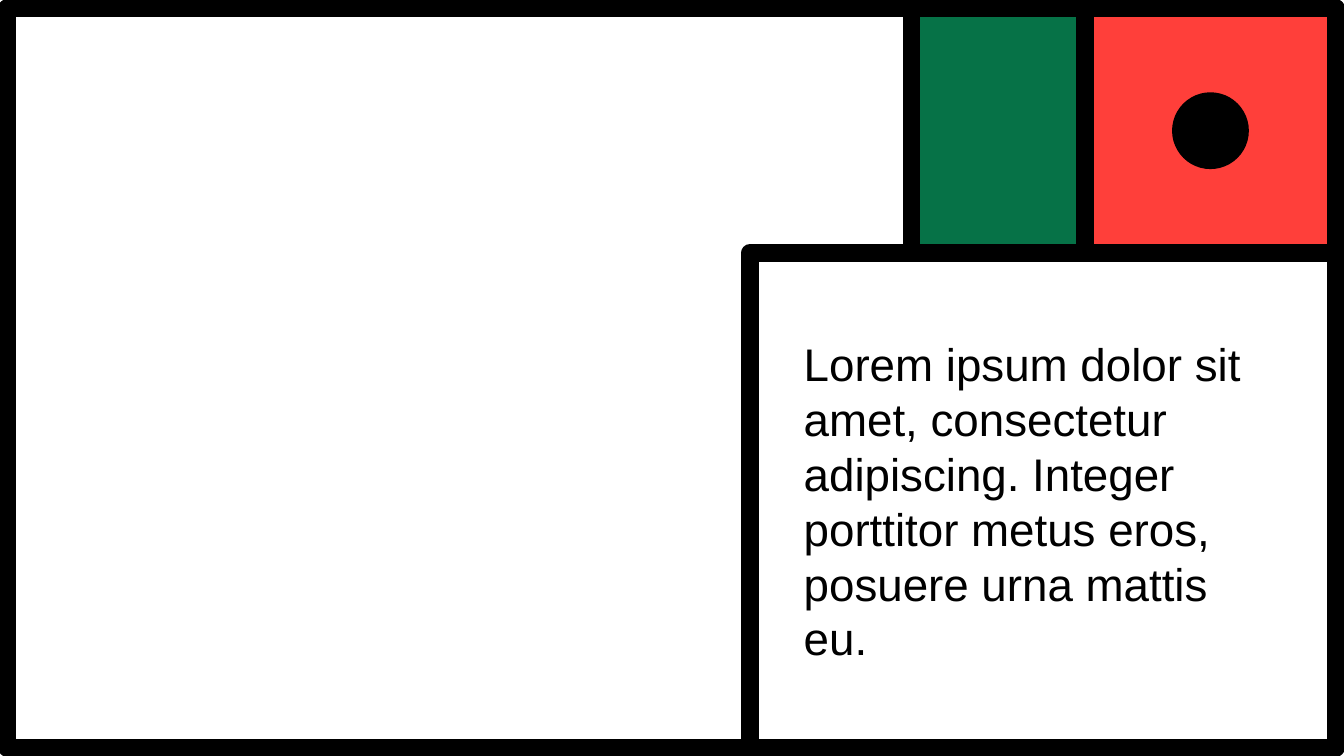
from pptx import Presentation, util as u
from pptx.dml.color import RGBColor
from pptx.enum import shapes, text

BLACK, WHITE, RED, GREEN = "000000", "FFFFFF", "FF3F3A", "067247"
LEFT, TEXT_LEFT, GREEN_LEFT, RED_LEFT, RIGHT = 5.76, 590.4, 717.84, 854.64, 1051.92
TOP, MIDDLE, BOTTOM = 6.48, 199.44, 588.96
BADGE_SIZE = 60.5


def color(value):
    return RGBColor.from_string(value)


def apply(target, values):
    for name, value in values.items():
        setattr(target, name, value)


class Builder:
    border = 14
    font = {"name": "Arial", "size": u.Pt(36)}
    frame = {
        "word_wrap": True,
        "vertical_anchor": text.MSO_ANCHOR.MIDDLE,
        "margin_left": u.Pt(42.5),
        "margin_right": u.Pt(42.5),
        "margin_top": u.Pt(28),
        "margin_bottom": u.Pt(28),
    }
    paragraph = {"alignment": text.PP_ALIGN.LEFT, "line_spacing": u.Pt(43.2)}

    def __init__(self, slide):
        self.slide = slide

    def shape(self, kind, left, top, width, height, fill):
        shape = self.slide.shapes.add_shape(kind, *map(u.Pt, (left, top, width, height)))
        shape.shadow.inherit = False
        shape.fill.solid()
        shape.fill.fore_color.rgb = color(fill)
        return shape

    def panel(self, left, top, right, bottom, fill):
        panel = self.shape(
            shapes.MSO_SHAPE.RECTANGLE, left, top, right - left, bottom - top, fill
        )
        panel.line.color.rgb = color(BLACK)
        panel.line.width = u.Pt(self.border)
        return panel

    def badge(self, center_x, center_y, size):
        badge = self.shape(
            shapes.MSO_SHAPE.OVAL, center_x - size / 2, center_y - size / 2, size, size, BLACK
        )
        badge.line.fill.background()

    def body_text(self, panel, wording):
        apply(panel.text_frame, self.frame)
        paragraph = panel.text_frame.paragraphs[0]
        apply(paragraph, self.paragraph)
        run = paragraph.add_run()
        run.text = wording
        apply(run.font, self.font)
        run.font.color.rgb = color(BLACK)


def main():
    presentation = Presentation()
    presentation.slide_width = u.Pt(1058.4)
    presentation.slide_height = u.Pt(595.44)
    builder = Builder(presentation.slides.add_slide(presentation.slide_layouts[6]))

    picture_panel = builder.panel(LEFT, TOP, GREEN_LEFT, BOTTOM, WHITE)
    picture_panel.fill.background()
    builder.panel(RED_LEFT, TOP, RIGHT, MIDDLE, RED)
    builder.panel(GREEN_LEFT, TOP, RED_LEFT, MIDDLE, GREEN)
    builder.badge((RED_LEFT + RIGHT) / 2, (TOP + MIDDLE) / 2, BADGE_SIZE)
    text_panel = builder.panel(TEXT_LEFT, MIDDLE, RIGHT, BOTTOM, WHITE)
    builder.body_text(
        text_panel,
        "Lorem ipsum dolor sit amet, consectetur adipiscing. "
        "Integer porttitor metus eros, posuere urna mattis eu.",
    )
    presentation.save("out.pptx")


if __name__ == "__main__":
    main()
